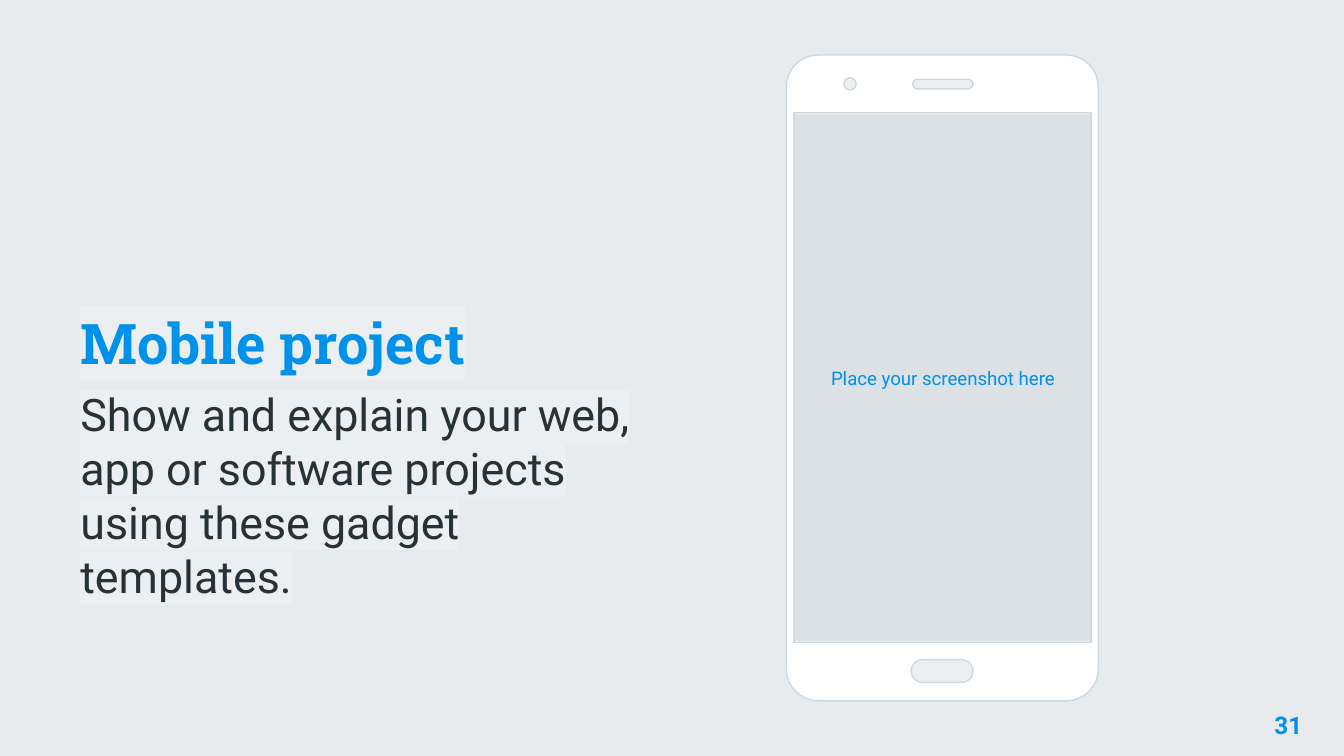
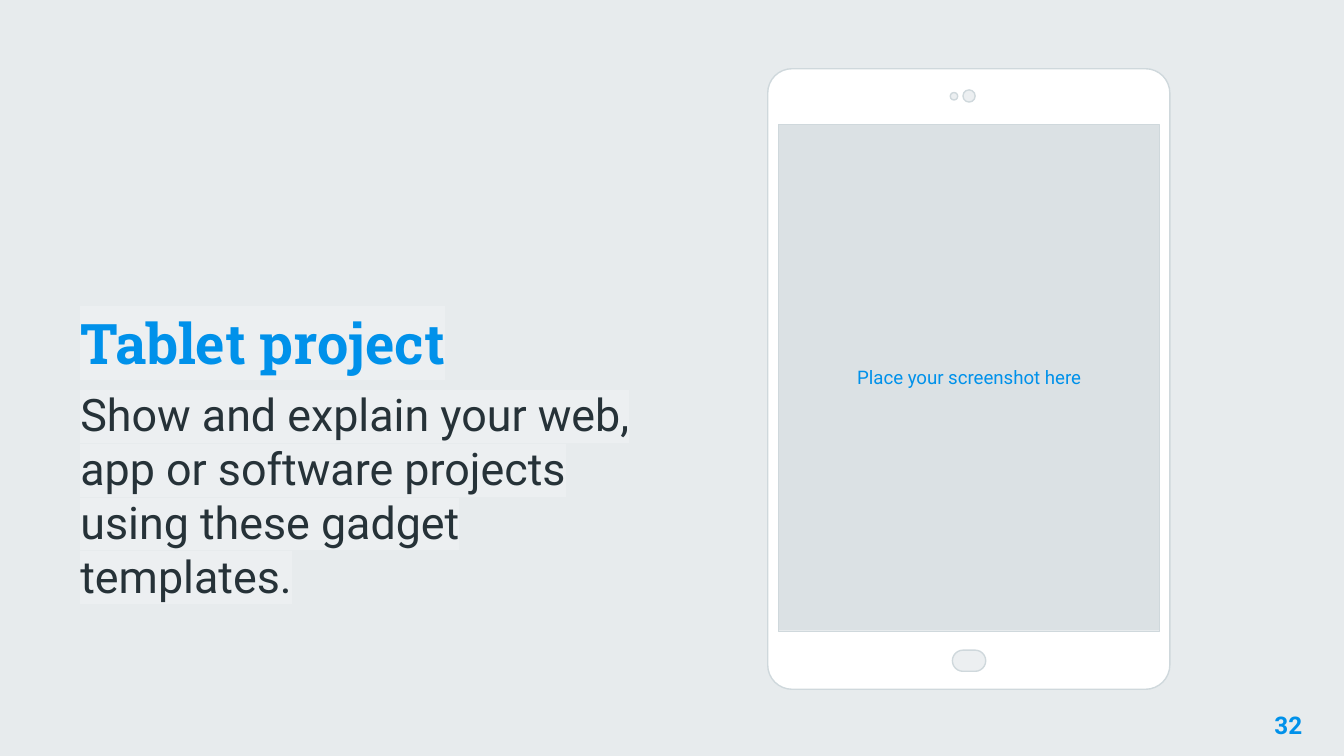
"""Build two slides that frame a screenshot in a phone and in a tablet."""
from math import cos, radians, sin

from lxml.etree import SubElement
from pptx import Presentation
from pptx.dml.color import RGBColor
from pptx.enum.shapes import MSO_SHAPE as Kind
from pptx.enum.text import MSO_ANCHOR as Anchor, PP_ALIGN as Align
from pptx.oxml.ns import qn
from pptx.util import Cm, Pt

BLUE, DARK, GRAY, PALE, WHITE = "0091EA", "263238", "CFD8DC", "ECEFF1", "FFFFFF"
BODY = "Show and explain your web, app or software projects using these gadget templates."


def paint(shape, fill, line=None, alpha=None):
    shape.shadow.inherit = False
    shape.fill.solid()
    shape.fill.fore_color.rgb = RGBColor.from_string(fill)
    if alpha:
        tint = shape.fill._xPr.find(qn("a:solidFill"))[0]
        SubElement(tint, qn("a:alpha"), val=str(alpha * 1000))
    if line:
        shape.line.color.rgb = RGBColor.from_string(line)
        shape.line.width = Pt(0.75)
    else:
        shape.line.fill.background()


def write(para, text, size, color=BLUE, font="Roboto", bold=False, align=Align.LEFT, before=0, mark=None):
    para.alignment = align
    para.space_before = Pt(before)
    run = para.add_run()
    run.text = text
    run.font.size, run.font.bold = Pt(size), bold
    run.font.color.rgb = RGBColor.from_string(color)
    if mark:
        props = run.font._rPr
        SubElement(SubElement(props, qn("a:highlight")), qn("a:srgbClr"), val=mark)
    run.font.name = font


phone = dict(
    title="Mobile project", page="31", radius=0.61,
    case=(14.86, 1.04, 5.9, 12.21), hole=(15.01, 2.13, 5.61, 10.01),
    screen=(15.02, 2.17, 5.6, 9.94),
    keys=[(17.22, 12.47, 1.17, 0.43), (15.95, 1.47, 0.23, 0.23), (17.25, 1.5, 1.14, 0.18)],
)
tablet = dict(
    title="Tablet project", page="32", radius=0.46,
    case=(14.51, 1.3, 7.6, 11.73), hole=(14.71, 2.36, 7.21, 9.58),
    screen=(14.71, 2.36, 7.21, 9.55),
    keys=[(18, 12.29, 0.63, 0.4), (17.96, 1.75, 0.14, 0.14), (18.2, 1.7, 0.23, 0.23)],
)

deck = Presentation()
deck.slide_width, deck.slide_height = Cm(25.4), Cm(14.29)

for gadget in (phone, tablet):
    shapes = deck.slides.add_slide(deck.slide_layouts[6]).shapes
    back = shapes.add_shape(Kind.RECTANGLE, 0, 0, deck.slide_width, deck.slide_height)
    paint(back, GRAY, alpha=49)

    body = shapes.add_textbox(Cm(1.27), Cm(1.85), Cm(11.4), Cm(9.78)).text_frame
    page = shapes.add_textbox(Cm(23.34), Cm(13.18), Cm(1.52), Cm(1.09)).text_frame
    screen = shapes.add_shape(Kind.RECTANGLE, *map(Cm, gadget["screen"]))
    paint(screen, GRAY, alpha=49)
    for frame in (body, page, screen.text_frame):
        frame.word_wrap = True
        frame.margin_left = frame.margin_right = Cm(0.25)
        frame.margin_top = frame.margin_bottom = Cm(0.25)
    body.vertical_anchor = Anchor.BOTTOM
    screen.text_frame.vertical_anchor = Anchor.MIDDLE

    write(body.paragraphs[0], gadget["title"], 30, font="Roboto Slab", bold=True, before=6, mark=PALE)
    write(body.add_paragraph(), BODY, 24, color=DARK, before=6, mark=PALE)
    write(page.paragraphs[0], gadget["page"], 13, bold=True, align=Align.RIGHT)
    write(screen.text_frame.paragraphs[0], "Place your screenshot here", 10, align=Align.CENTER)

    left, top, width, height = gadget["case"]
    rad = gadget["radius"]
    near, far = left + rad, left + width - rad
    high, low = top + rad, top + height - rad
    rim = []
    for start, (x, y) in zip((0, 90, 180, 270), ((far, low), (near, low), (near, high), (far, high))):
        for step in range(9):
            turn = radians(start + step * 11.25)
            rim.append((Cm(x + rad * cos(turn)), Cm(y + rad * sin(turn))))
    left, top, width, height = gadget["hole"]
    right, base = left + width, top + height
    hole = [(Cm(x), Cm(y)) for x, y in ((right, top), (right, base), (left, base), (left, top))]
    case = shapes.build_freeform(*hole[0], scale=1.0)
    case.add_line_segments(hole[1:])
    case.move_to(*rim[0])
    case.add_line_segments(rim[1:])
    paint(case.convert_to_shape(), WHITE, GRAY)

    for key in gadget["keys"]:
        kind = Kind.OVAL if key[2] == key[3] else Kind.ROUNDED_RECTANGLE
        knob = shapes.add_shape(kind, *map(Cm, key))
        if kind == Kind.ROUNDED_RECTANGLE:
            knob.adjustments[0] = 0.5
        paint(knob, PALE, GRAY)

deck.save("out.pptx")
